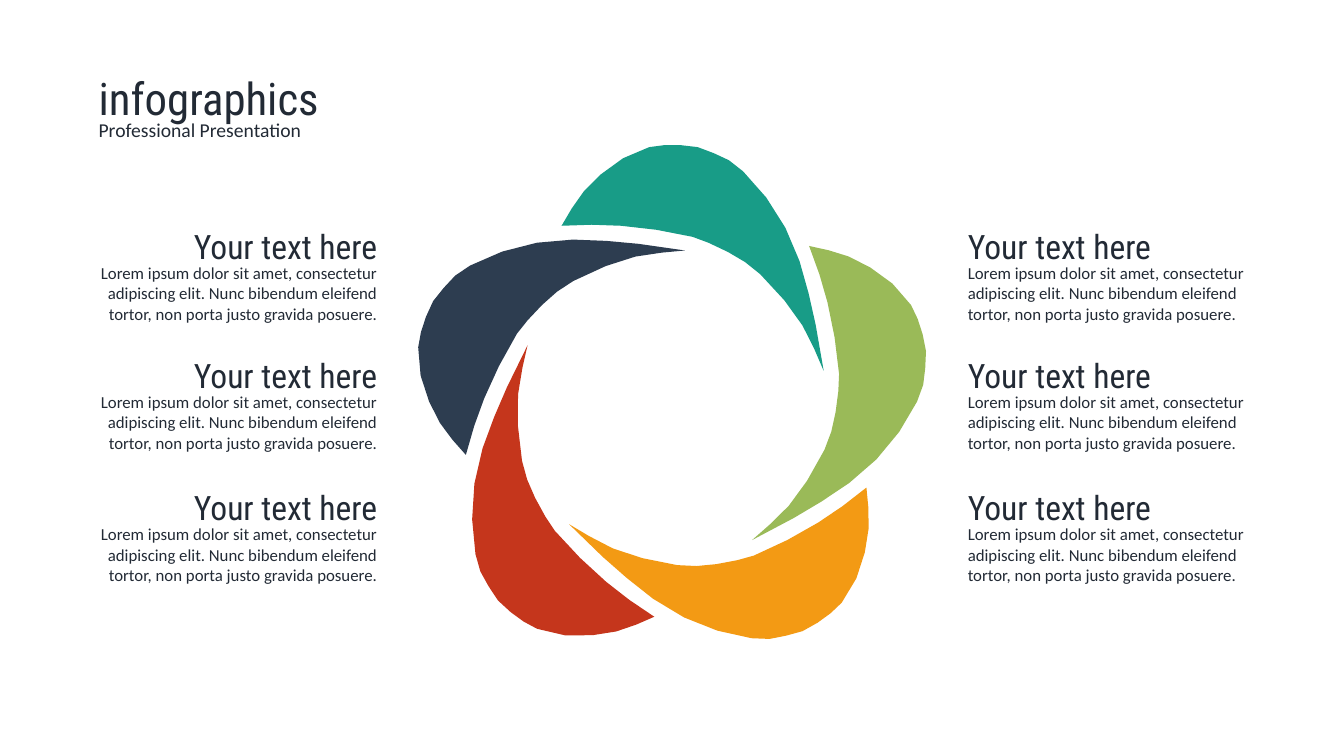
import math

from pptx import Presentation
from pptx import util as u
from pptx.dml.color import RGBColor
from pptx.enum import text

INK = RGBColor(0x22, 0x2A, 0x35)
NAVY = RGBColor(0x2D, 0x3D, 0x50)
TEAL = RGBColor(0x18, 0x9C, 0x87)
GREEN = RGBColor(0x9A, 0xBA, 0x58)
ORANGE = RGBColor(0xF3, 0x9A, 0x14)
RED = RGBColor(0xC5, 0x36, 0x1C)

HEADING = "Your text here"
BODY = (
    "Lorem ipsum dolor sit amet, consectetur adipiscing elit. "
    "Nunc bibendum eleifend tortor, non porta justo gravida posuere."
)
ROW_TOPS = (2.19, 3.47, 4.78)
COLUMNS = ((0.63, text.PP_ALIGN.RIGHT), (9.5, text.PP_ALIGN.LEFT))

CENTER_X, CENTER_Y = 6.66, 4.03
PETAL_COLORS = (NAVY, TEAL, GREEN, ORANGE, RED)
TOP_PETAL = (
    (5.57, 2.24), (5.67, 2.07), (5.79, 1.9), (5.96, 1.73), (6.18, 1.57),
    (6.44, 1.46), (6.59, 1.44), (6.75, 1.44), (6.92, 1.46), (7.08, 1.52),
    (7.23, 1.59), (7.37, 1.7), (7.6, 1.96), (7.79, 2.26), (7.93, 2.59),
    (8.02, 2.91), (8.09, 3.22), (8.17, 3.68), (8.08, 3.47), (7.96, 3.23),
    (7.78, 2.98), (7.54, 2.72), (7.39, 2.6), (7.22, 2.5), (7.03, 2.41),
    (6.87, 2.35), (6.51, 2.28), (6.16, 2.24), (5.87, 2.23),
)


class Sheet:
    heading_font = "Roboto Condensed"
    body_font = "Calibri"

    def __init__(self, page):
        self.page = page

    def label(self, words, left, top, width, height, size, font, align):
        box = self.page.shapes.add_textbox(
            u.Inches(left), u.Inches(top), u.Inches(width), u.Inches(height))
        frame = box.text_frame
        frame.word_wrap = True
        frame.text = words
        para = frame.paragraphs[0]
        para.alignment = align
        span = para.runs[0]
        span.font.size = u.Pt(size)
        span.font.name = font
        span.font.color.rgb = INK

    def heading(self, words, left, top, width, height, size, align=text.PP_ALIGN.LEFT):
        self.label(words, left, top, width, height, size, self.heading_font, align)

    def body(self, words, left, top, width, height, size, align=text.PP_ALIGN.LEFT):
        self.label(words, left, top, width, height, size, self.body_font, align)

    def petal(self, color, degrees):
        cos, sin = math.cos(math.radians(degrees)), math.sin(math.radians(degrees))
        points = []
        for x, y in TOP_PETAL:
            dx, dy = x - CENTER_X, y - CENTER_Y
            points.append((u.Inches(CENTER_X + dx * cos - dy * sin),
                           u.Inches(CENTER_Y + dx * sin + dy * cos)))
        builder = self.page.shapes.build_freeform(*points[0])
        builder.add_line_segments(points[1:], close=True)
        petal = builder.convert_to_shape()
        petal.shadow.inherit = False
        petal.fill.solid()
        petal.fill.fore_color.rgb = color
        petal.line.fill.background()


def main():
    deck = Presentation()
    deck.slide_width = u.Inches(13.33)
    deck.slide_height = u.Inches(7.5)
    sheet = Sheet(deck.slides.add_slide(deck.slide_layouts[6]))

    for top in ROW_TOPS:
        for left, align in COLUMNS:
            sheet.body(BODY, left, top + 0.37, 3.21, 0.71, 12, align)
            sheet.heading(HEADING, left, top, 3.21, 0.5, 24, align)
    for turn, color in enumerate(PETAL_COLORS, start=-1):
        sheet.petal(color, turn * 360 / len(PETAL_COLORS))
    sheet.heading("infographics", 0.88, 0.65, 11.57, 0.64, 32)
    sheet.body("Professional Presentation", 0.88, 1.12, 11.57, 0.34, 14)

    deck.save("out.pptx")


if __name__ == "__main__":
    main()
